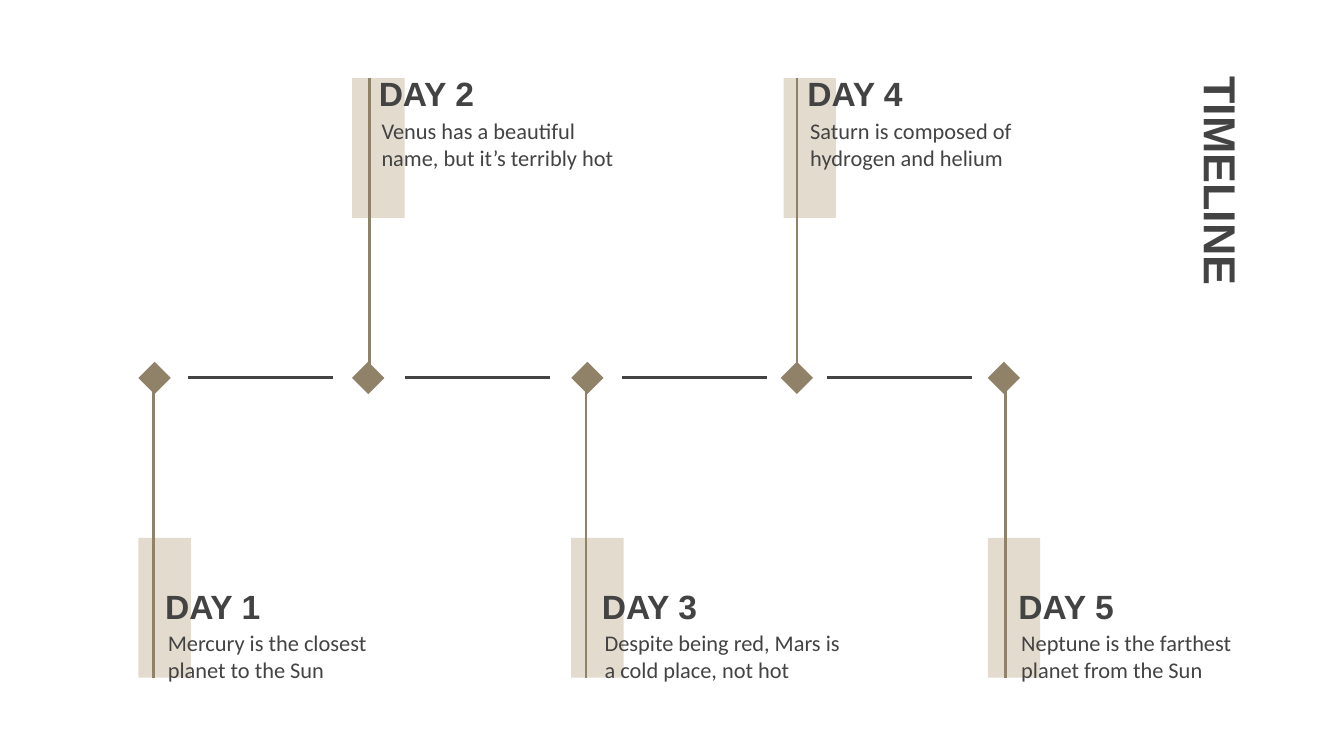
import dataclasses

import pptx
import pptx.dml.color
import pptx.enum.shapes
import pptx.enum.text
import pptx.oxml.ns
import pptx.util
from lxml import etree

SHAPES = pptx.enum.shapes.MSO_SHAPE
WIDTH = pptx.util.Inches(10)
HEIGHT = pptx.util.Emu(WIDTH * 9 // 16)
CELL = WIDTH / 100  # the grid has 100 columns; its rows are equally high


@dataclasses.dataclass(frozen=True)
class Theme:
    ink: str = "434343"
    accent: str = "908269"
    band: str = "CFC3AC"
    band_opacity: int = 58
    heading_font: str = "Arial"
    body_font: str = "Calibri"
    title_size: int = 24
    heading_size: int = 18
    body_size: int = 12
    line_width: float = 1.5


THEME = Theme()


@dataclasses.dataclass(frozen=True)
class Stop:
    heading: str
    body: str
    marker: float  # left column of the diamond
    band: float    # left column of the pale band
    post: float    # column of the upright line
    text: float    # left column of the heading


STOPS = [
    Stop("DAY 1", "Mercury is the closest planet to the Sun",
         10.3, 10.3, 11.4, 11.3),
    Stop("DAY 2", "Venus has a beautiful name, but it’s terribly hot",
         26.2, 26.2, 27.5, 27.2),
    Stop("DAY 3", "Despite being red, Mars is a cold place, not hot",
         42.5, 42.5, 43.6, 43.8),
    Stop("DAY 4", "Saturn is composed of hydrogen and helium",
         58.1, 58.3, 59.3, 59.1),
    Stop("DAY 5", "Neptune is the farthest planet from the Sun",
         73.5, 73.5, 74.8, 74.8),
]
DASH_COLUMNS = [14, 30.1, 46.3, 61.5]
DASH_LENGTH = 10.8
AXIS_ROW = 28.12
MARKER_SIZE = 2.4
BAND_WIDTH, BAND_HEIGHT = 3.9, 10.4
TOP_ROW, BOTTOM_ROW = 5.82, 50.42


def grid(*cells):
    return [pptx.util.Emu(round(cell * CELL)) for cell in cells]


def color(value):
    return pptx.dml.color.RGBColor.from_string(value)


def add_block(page, kind, place, fill, opacity=100):
    block = page.shapes.add_shape(kind, *grid(*place))
    block.shadow.inherit = False
    block.fill.solid()
    block.fill.fore_color.rgb = color(fill)
    block.line.fill.background()
    if opacity < 100:
        tint = block._element.spPr.find(".//" + pptx.oxml.ns.qn("a:srgbClr"))
        alpha = etree.SubElement(tint, pptx.oxml.ns.qn("a:alpha"))
        alpha.set("val", str(opacity * 1000))


def add_line(page, start, end, stroke):
    line = page.shapes.add_connector(
        pptx.enum.shapes.MSO_CONNECTOR.STRAIGHT, *grid(*start, *end))
    line.line.color.rgb = color(stroke)
    line.line.width = pptx.util.Pt(THEME.line_width)
    etree.SubElement(line._element.spPr, pptx.oxml.ns.qn("a:effectLst"))


def write(box, text, font, size, bold=False):
    frame = box.text_frame
    frame.word_wrap = True
    frame.auto_size = pptx.enum.text.MSO_AUTO_SIZE.NONE
    frame.vertical_anchor = pptx.enum.text.MSO_ANCHOR.TOP
    (frame.margin_left, frame.margin_top,
     frame.margin_right, frame.margin_bottom) = grid(1, 1, 1, 1)
    para = frame.paragraphs[0]
    para.alignment = pptx.enum.text.PP_ALIGN.LEFT
    span = para.add_run()
    span.text = text
    span.font.name = font
    span.font.size = pptx.util.Pt(size)
    span.font.bold = bold
    span.font.color.rgb = color(THEME.ink)


def add_title(page, text):
    title = page.shapes.title
    title.left, title.top, title.width, title.height = grid(72.2, 21.1, 38.1, 5.3)
    title.rotation = 90
    write(title, text, THEME.heading_font, THEME.title_size, True)


def add_band(page, stop, above):
    top = TOP_ROW if above else BOTTOM_ROW - BAND_HEIGHT
    add_block(page, SHAPES.RECTANGLE, (stop.band, top, BAND_WIDTH, BAND_HEIGHT),
              THEME.band, THEME.band_opacity)


def add_post(page, stop, above):
    far_row = TOP_ROW if above else BOTTOM_ROW
    add_line(page, (stop.post, far_row), (stop.post, AXIS_ROW), THEME.accent)


def add_marker(page, stop):
    top = AXIS_ROW - MARKER_SIZE / 2
    add_block(page, SHAPES.DIAMOND, (stop.marker, top, MARKER_SIZE, MARKER_SIZE),
              THEME.accent)


def add_caption(page, stop, above):
    heading_row, body_row = (4.4, 7.7) if above else (42.6, 45.8)
    heading_height, body_height = (4.9, 7.4) if above else (4.6, 7)
    body = page.shapes.add_textbox(*grid(stop.text + 0.2, body_row, 20.2, body_height))
    write(body, stop.body, THEME.body_font, THEME.body_size)
    heading = page.shapes.add_textbox(*grid(stop.text, heading_row, 12.4, heading_height))
    write(heading, stop.heading, THEME.heading_font, THEME.heading_size, True)


def main():
    deck = pptx.Presentation()
    deck.slide_width, deck.slide_height = WIDTH, HEIGHT
    page = deck.slides.add_slide(deck.slide_layouts[5])
    add_title(page, "TIMELINE")

    # Even-numbered days stand above the axis, odd ones below
    placed = [(stop, index % 2 == 1) for index, stop in enumerate(STOPS)]

    # Pale bands, then the posts over them
    for stop, above in placed:
        add_band(page, stop, above)
    for stop, above in placed:
        add_post(page, stop, above)

    # Axis dashes
    for column in DASH_COLUMNS:
        add_line(page, (column, AXIS_ROW), (column + DASH_LENGTH, AXIS_ROW), THEME.ink)

    # Markers and captions
    for stop, above in placed:
        add_marker(page, stop)
        add_caption(page, stop, above)

    deck.save("out.pptx")


if __name__ == "__main__":
    main()
